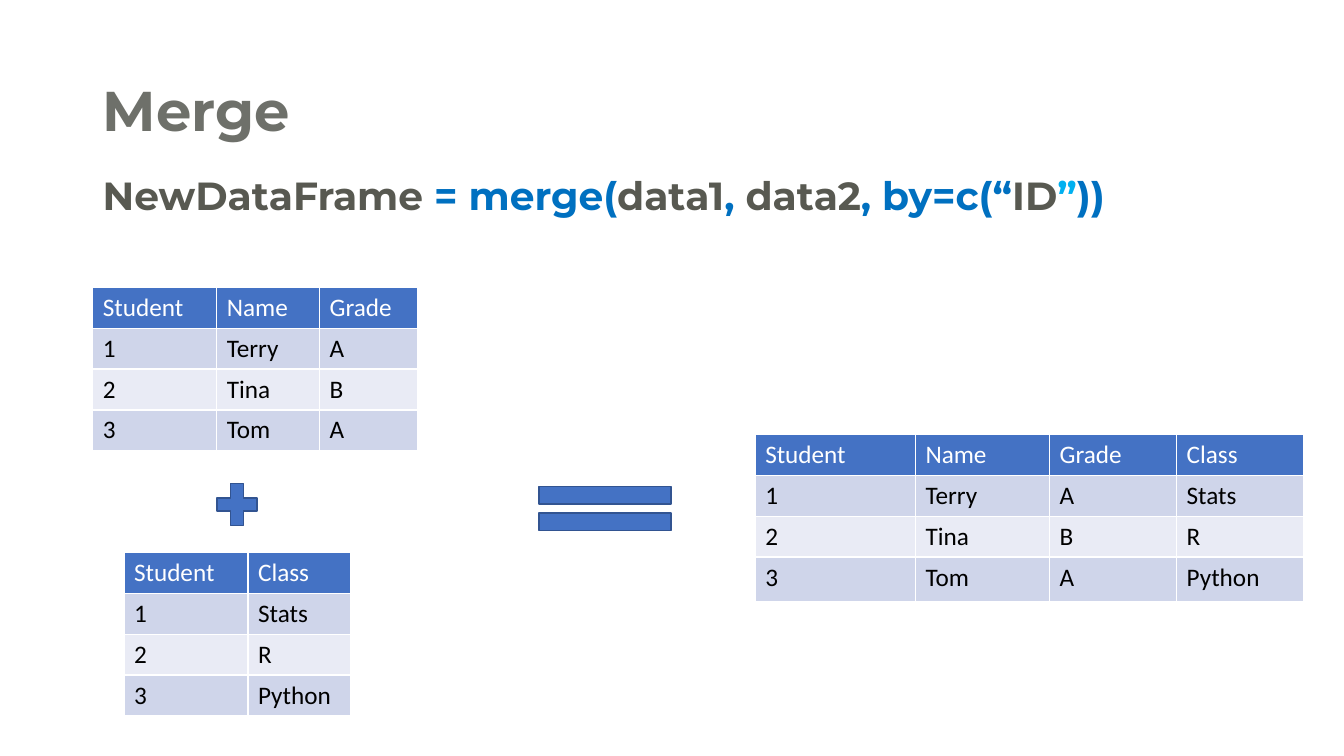
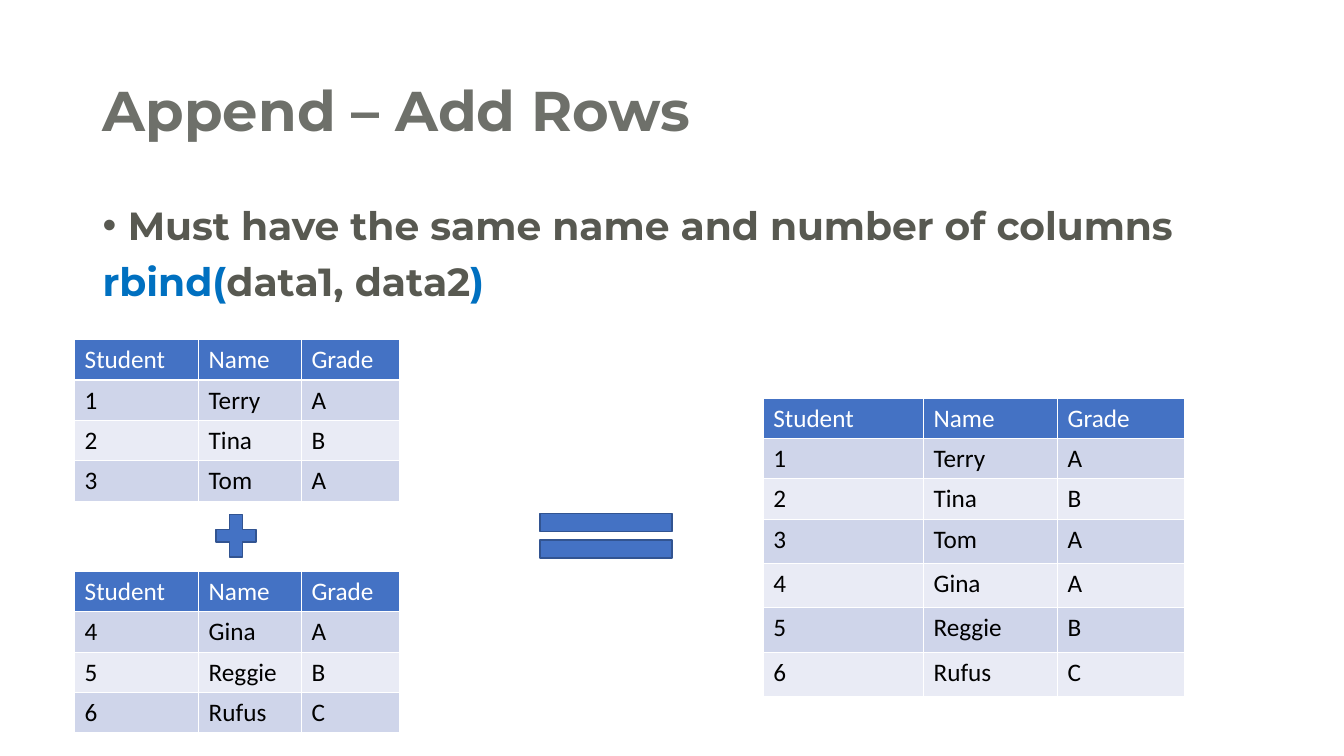
from lxml import etree
from pptx import Presentation
from pptx import util as u
from pptx.dml.color import RGBColor
from pptx.enum import shapes, text
from pptx.oxml import ns

WHITE = RGBColor(0xFF, 0xFF, 0xFF)
BLACK = RGBColor(0x00, 0x00, 0x00)
TITLE_GREY = RGBColor(0x6E, 0x70, 0x6A)
TEXT_GREY = RGBColor(0x58, 0x59, 0x51)
CODE_BLUE = RGBColor(0x00, 0x70, 0xC0)
QUOTE_BLUE = RGBColor(0x00, 0xB0, 0xF0)
HEADER_BLUE = RGBColor(0x44, 0x72, 0xC4)
OUTLINE_BLUE = RGBColor(0x32, 0x54, 0x91)
BANDS = (RGBColor(0xCF, 0xD5, 0xEA), RGBColor(0xE9, 0xEB, 0xF5))

HEADING_FONT = "Montserrat"
TABLE_FONT = "Calibri"
TEXT_LEFT, TEXT_WIDTH = 0.92, 11.5
INPUT_WIDTHS = (1.23, 1.02, 0.97)
RESULT_WIDTHS = (1.59, 1.33, 1.26, 1.26)
ROW_HEIGHT, TALL_ROW_HEIGHT = 0.4, 0.44

GRADE_HEADER = ("Student", "Name", "Grade")
FIRST_GRADES = [("1", "Terry", "A"), ("2", "Tina", "B"), ("3", "Tom", "A")]
MORE_GRADES = [("4", "Gina", "A"), ("5", "Reggie", "B"), ("6", "Rufus", "C")]
CLASS_HEADER = ("Student", "Class")
CLASSES = [("1", "Stats"), ("2", "R"), ("3", "Python")]


def add_run(paragraph, content, font=HEADING_FONT, size=28, color=TEXT_GREY, bold=True):
    run = paragraph.add_run()
    run.text = content
    run.font.name = font
    run.font.size = u.Pt(size)
    run.font.color.rgb = color
    run.font.bold = bold


def add_titled_slide(presentation, title):
    slide = presentation.slides.add_slide(presentation.slide_layouts[5])
    shape = slide.shapes.title
    shape.left, shape.top = u.Inches(TEXT_LEFT), u.Inches(0.4)
    shape.width, shape.height = u.Inches(TEXT_WIDTH), u.Inches(1.45)
    frame = shape.text_frame
    frame.auto_size = text.MSO_AUTO_SIZE.NONE
    frame.vertical_anchor = text.MSO_ANCHOR.MIDDLE
    paragraph = frame.paragraphs[0]
    paragraph.alignment = text.PP_ALIGN.LEFT
    paragraph.line_spacing = 0.9
    add_run(paragraph, title, size=40, color=TITLE_GREY)
    return slide


def add_bullet(paragraph):
    properties = paragraph._p.get_or_add_pPr()
    properties.set("marL", str(u.Inches(0.25)))
    properties.set("indent", str(u.Inches(-0.25)))
    etree.SubElement(properties, ns.qn("a:buFont")).set("typeface", "Arial")
    etree.SubElement(properties, ns.qn("a:buChar")).set("char", "•")


def add_text(slide, top, paragraphs, bullets=()):
    box = slide.shapes.add_textbox(
        u.Inches(TEXT_LEFT), u.Inches(top), u.Inches(TEXT_WIDTH), u.Inches(4.76))
    frame = box.text_frame
    frame.word_wrap = True
    for index, runs in enumerate(paragraphs):
        paragraph = frame.add_paragraph() if index else frame.paragraphs[0]
        if index in bullets:
            add_bullet(paragraph)
        paragraph.line_spacing = 0.9
        if index:
            paragraph.space_before = u.Pt(10)
        for content, color in runs:
            add_run(paragraph, content, color=color)


def add_data_table(slide, left, top, header, records, widths=INPUT_WIDTHS, tall_from=None):
    rows = [header, *records]
    widths = widths[:len(header)]
    tall_from = len(rows) if tall_from is None else tall_from
    heights = [TALL_ROW_HEIGHT if index >= tall_from else ROW_HEIGHT
               for index in range(len(rows))]
    table = slide.shapes.add_table(
        len(rows), len(header), u.Inches(left), u.Inches(top),
        u.Inches(sum(widths)), u.Inches(sum(heights))).table
    for column, width in zip(table.columns, widths):
        column.width = u.Inches(width)
    for index, (row, values) in enumerate(zip(table.rows, rows)):
        row.height = u.Inches(heights[index])
        fill = BANDS[(index - 1) % 2] if index else HEADER_BLUE
        color = BLACK if index else WHITE
        for cell, value in zip(row.cells, values):
            cell.fill.solid()
            cell.fill.fore_color.rgb = fill
            add_run(cell.text_frame.paragraphs[0], value,
                    font=TABLE_FONT, size=18, color=color, bold=False)


def add_sign(slide, kind, left, top, width, height):
    shape = slide.shapes.add_shape(
        kind, u.Inches(left), u.Inches(top), u.Inches(width), u.Inches(height))
    shape.shadow.inherit = False
    shape.fill.solid()
    shape.fill.fore_color.rgb = HEADER_BLUE
    shape.line.color.rgb = OUTLINE_BLUE
    shape.line.width = u.Pt(1)


def add_plus(slide, left, top):
    add_sign(slide, shapes.MSO_SHAPE.MATH_PLUS, left, top, 0.54, 0.57)


def add_equals(slide, left, top):
    add_sign(slide, shapes.MSO_SHAPE.MATH_EQUAL, left, top, 1.78, 0.75)


def build_merge(presentation):
    slide = add_titled_slide(presentation, "Merge")
    add_data_table(slide, 0.92, 2.85, GRADE_HEADER, FIRST_GRADES)
    add_data_table(slide, 1.23, 5.48, CLASS_HEADER, CLASSES)
    merged = [grade + course[1:] for grade, course in zip(FIRST_GRADES, CLASSES)]
    add_data_table(slide, 7.49, 4.31, GRADE_HEADER + CLASS_HEADER[1:], merged,
                   widths=RESULT_WIDTHS, tall_from=3)
    add_plus(slide, 2.08, 4.72)
    add_equals(slide, 5.11, 4.67)
    add_text(slide, 1.7, [[
        ("NewDataFrame ", TEXT_GREY), ("= merge(", CODE_BLUE), ("data1", TEXT_GREY),
        (",", CODE_BLUE), (" data2", TEXT_GREY), (", by=c(“", CODE_BLUE),
        ("ID", TEXT_GREY), ("”", QUOTE_BLUE), ("))", CODE_BLUE)]])


def build_append(presentation):
    slide = add_titled_slide(presentation, "Append – Add Rows")
    add_text(slide, 2, [
        [("Must have the same name and number of columns", TEXT_GREY)],
        [("rbind(", CODE_BLUE), ("data1, data2", TEXT_GREY), (")", CODE_BLUE)],
    ], bullets=(0,))
    add_data_table(slide, 0.74, 3.37, GRADE_HEADER, FIRST_GRADES)
    add_data_table(slide, 0.74, 5.67, GRADE_HEADER, MORE_GRADES)
    add_plus(slide, 2.07, 5.03)
    add_equals(slide, 5.12, 4.94)
    add_data_table(slide, 7.57, 3.95, GRADE_HEADER, FIRST_GRADES + MORE_GRADES,
                   widths=RESULT_WIDTHS, tall_from=3)


def main():
    presentation = Presentation()
    presentation.slide_width = u.Inches(13.33)
    presentation.slide_height = u.Inches(7.5)
    build_merge(presentation)
    build_append(presentation)
    presentation.save("out.pptx")


if __name__ == "__main__":
    main()
